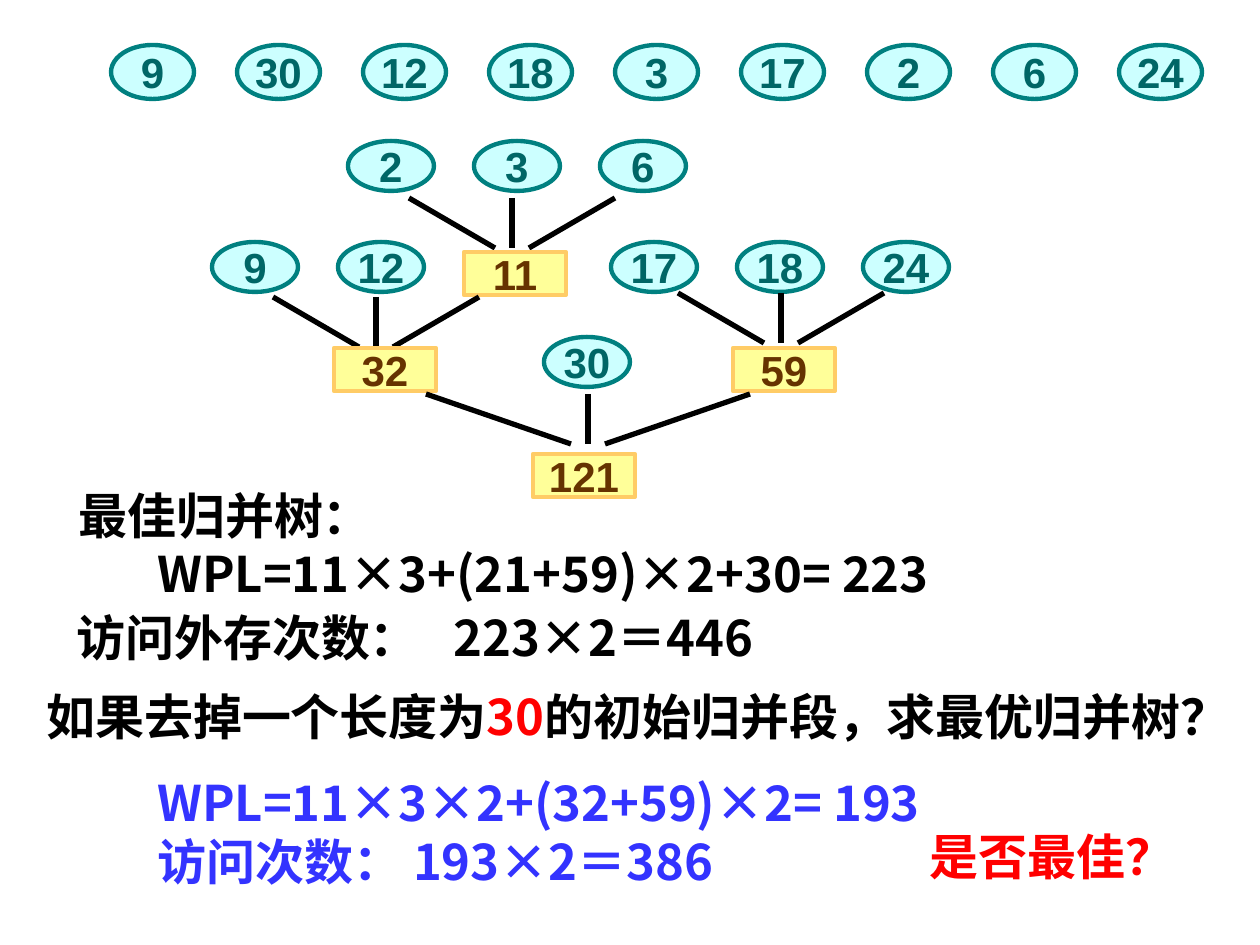
from pptx import Presentation, util as u
from pptx.dml.color import RGBColor
from pptx.enum import shapes, text
from pptx.oxml.ns import qn
from lxml import etree

PX = 914400 / 126
CJK = "Noto Sans CJK SC"


def px(n):
    """Turn px into EMU."""
    return u.Emu(round(n * PX))


def rgb(code):
    """Turn a hex string into a colour."""
    return RGBColor.from_string(code)


class Deck:
    """Hold the style and the current slide."""

    leaf = (shapes.MSO_SHAPE.OVAL, "CCFFFF", "008080", "006666")
    sums = (shapes.MSO_SHAPE.RECTANGLE, "FFFF99", "FFCC66", "663300")
    gap = 126

    def __init__(self):
        """Start a deck with one blank slide."""
        self.prs = Presentation()
        self.prs.slide_width, self.prs.slide_height = u.Inches(10), u.Inches(7.5)
        self.slide = self.prs.slides.add_slide(self.prs.slide_layouts[6])

    def node(self, look, label, x, y, w, h):
        """Draw one tree node."""
        kind, fill, edge, ink = look
        shape = self.slide.shapes.add_shape(kind, px(x), px(y), px(w), px(h))
        shape.shadow.inherit = False
        shape.fill.solid()
        shape.fill.fore_color.rgb = rgb(fill)
        shape.line.color.rgb = rgb(edge)
        shape.line.width = u.Pt(2.5)
        frame = shape.text_frame
        frame.word_wrap = False
        frame.vertical_anchor = text.MSO_ANCHOR.MIDDLE
        frame.text = str(label)
        para = frame.paragraphs[0]
        para.alignment = text.PP_ALIGN.CENTER
        self.style(para.runs[0], 24, "Arial", ink)

    def row(self, labels, x, y, w=86, h=50):
        """Draw a row of leaves at equal gaps."""
        for i, label in enumerate(labels):
            self.node(self.leaf, label, x + i * self.gap, y, w, h)

    def sum(self, label, x, y):
        """Draw a merged node."""
        self.node(self.sums, label, x, y, 102, 43)

    def fan(self, x, y, reach):
        """Draw three lines that meet below."""
        for side in (-1, 0, 1):
            line = self.slide.shapes.add_connector(
                shapes.MSO_CONNECTOR.STRAIGHT,
                px(x + side * reach), px(y), px(x + side * 17), px(y + 50))
            line.line.color.rgb = rgb("000000")
            line.line.width = u.Pt(3)
            props = line._element.find(qn("p:spPr"))
            etree.SubElement(props, qn("a:effectLst"))

    def style(self, run, size, face, ink):
        """Set the font of a run."""
        font = run.font
        font.size, font.bold, font.name = u.Pt(size), True, face
        font.color.rgb = rgb(ink)
        east = etree.SubElement(run._r.get_or_add_rPr(), qn("a:ea"))
        east.set("typeface", CJK)

    def note(self, x, y, w, h, paras, face=CJK):
        """Draw text from (indent, tab, runs) paragraphs."""
        box = self.slide.shapes.add_textbox(px(x), px(y), px(w), px(h))
        frame = box.text_frame
        frame.word_wrap = True
        for i, (indent, tab, runs) in enumerate(paras):
            para = frame.add_paragraph() if i else frame.paragraphs[0]
            props = para._p.get_or_add_pPr()
            if indent:
                props.set("marL", str(px(indent)))
                props.set("indent", "0")
            if tab:
                stops = etree.SubElement(props, qn("a:tabLst"))
                stop = etree.SubElement(stops, qn("a:tab"))
                stop.set("pos", str(px(tab)))
                stop.set("algn", "l")
            for words, ink in runs:
                run = para.add_run()
                run.text = words
                self.style(run, 28, face, ink)


def main():
    """Build the slide."""
    black, red, blue = "000000", "FF0000", "3333FF"
    deck = Deck()
    deck.row([9, 30, 12, 18, 3, 17, 2, 6, 24], 111, 45, 83, 54)

    deck.row([2, 3, 6], 348, 141)
    deck.fan(512, 198, 103)
    deck.sum(11, 464, 252)
    deck.row([9, 12], 212, 242)
    deck.fan(376, 297, 103)
    deck.sum(32, 334, 348)
    deck.row([17, 18, 24], 611, 242)
    deck.fan(781, 293, 103)
    deck.sum(59, 733, 348)
    deck.row([30], 544, 337)
    deck.fan(588, 394, 162)
    deck.sum(121, 533, 454)

    deck.note(66, 479, 1102, 130, [
        (0, 0, [("最佳归并树：", black)]),
        (79, 0, [("WPL=11×3+(21+59)×2+30= 223", black)])])
    deck.note(64, 601, 1102, 72, [
        (0, 377, [("访问外存次数：\t223×2＝446", black)])])
    deck.note(34, 680, 1226, 72, [
        (0, 0, [("如果去掉一个长度为", black), ("30", red),
                ("的初始归并段，求最优归并树？", black)])])
    deck.note(66, 766, 1102, 130, [
        (79, 0, [("WPL=11×3×2+(32+59)×2= 193", blue)]),
        (79, 0, [("访问次数： 193×2＝386", blue)])])
    deck.note(917, 820, 287, 72, [(0, 0, [("是否最佳？", red)])],
              "Times New Roman")
    deck.prs.save("out.pptx")


if __name__ == "__main__":
    main()
